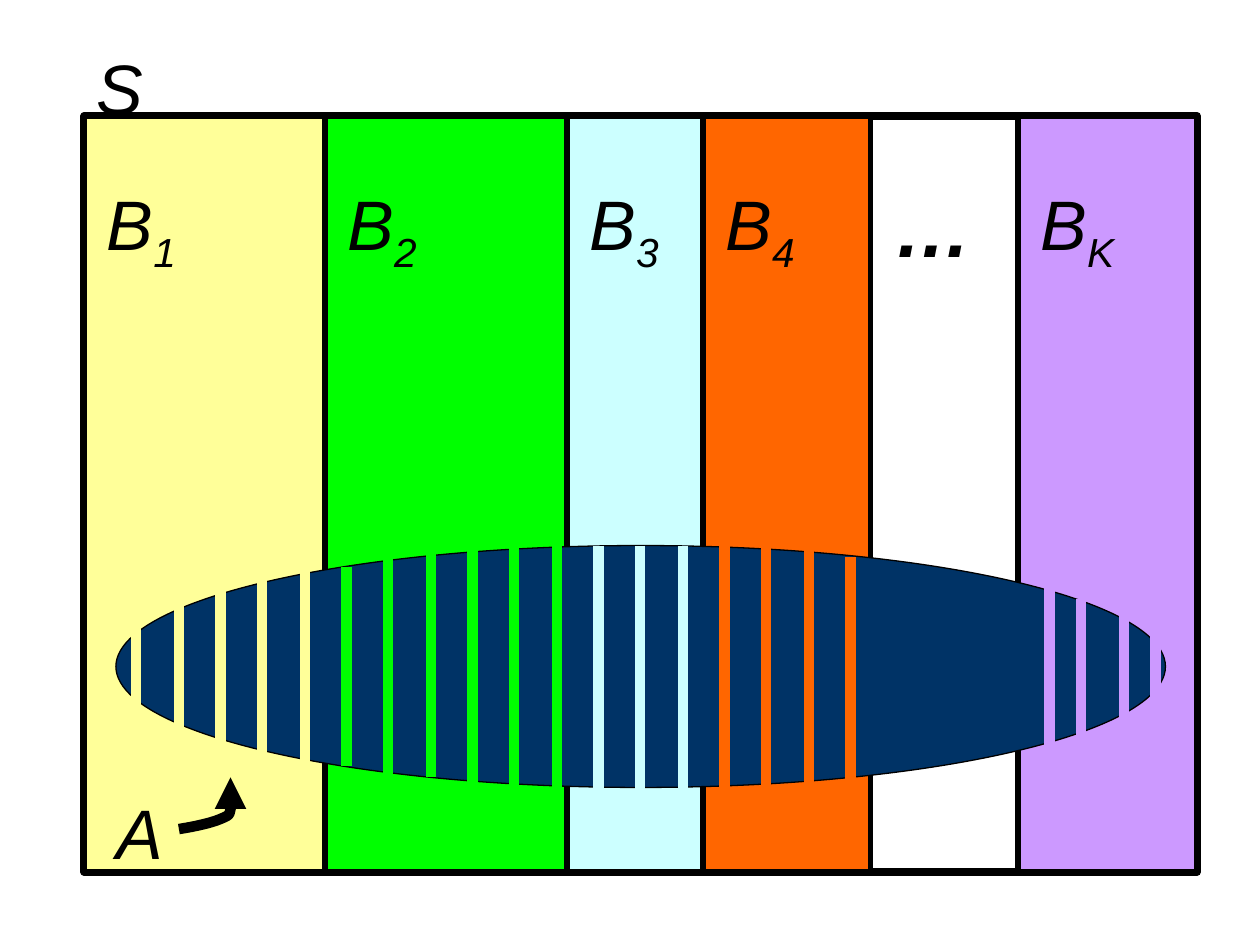
from pptx import Presentation
from pptx.dml.color import RGBColor
from pptx.enum.shapes import MSO_CONNECTOR, MSO_SHAPE
from pptx.enum.text import MSO_AUTO_SIZE
from pptx.oxml.ns import qn
from pptx.util import Inches, Pt
from lxml import etree

RECT, OVAL = MSO_SHAPE.RECTANGLE, MSO_SHAPE.OVAL
STRAIGHT = MSO_CONNECTOR.STRAIGHT
FIT_SHAPE = MSO_AUTO_SIZE.SHAPE_TO_FIT_TEXT

COLORS = {
    "black": "000000", "navy": "003366", "yellow": "FFFF99", "green": "00FF00",
    "cyan": "CCFFFF", "orange": "FF6600", "violet": "CC99FF",
}
FONT = "Arial"

# Sample space: left, top, width, height
SPACE = (0.67, 0.92, 8.83, 6)
EVENT = (0.92, 4.33, 8.33, 1.92)

# Partition: subscript, left, width, colour
BANDS = [
    ("1", 0.67, 1.92, "yellow"),
    ("2", 2.58, 1.92, "green"),
    ("3", 4.5, 1.08, "cyan"),
    ("4", 5.58, 1.33, "orange"),
    ("K", 8.08, 1.42, "violet"),
]

# Stripes over the event: (x, top, bottom) in the colour of their band
STRIPES = {
    "yellow": [(1.08, 4.92, 6.17), (1.42, 4.67, 5.92), (1.75, 4.58, 6.08),
               (2.08, 4.5, 6), (2.42, 4.42, 6.17)],
    "green": [(2.75, 4.5, 6.08), (3.08, 4.25, 6.25), (3.42, 4.17, 6.17),
              (3.75, 4.08, 6.25), (4.08, 4.33, 6.5), (4.42, 4.33, 6.5)],
    "cyan": [(x, 4.33, 6.5) for x in (4.75, 5.08, 5.42)],
    "orange": [(5.75, 4.33, 6.5), (6.08, 4.33, 6.5), (6.42, 4.33, 6.5),
               (6.75, 4.42, 6.58)],
    "violet": [(8.33, 4.67, 6.25), (8.58, 4.75, 6.33), (8.92, 4.83, 6.42),
               (9.17, 5, 6.58)],
}

# Labels: left, top, height, text, subscript, size, bold
LABELS = [
    (0.67, 0.25, 0.77, "S", "", 40, False),
    (0.83, 6.17, 0.77, "A", "", 40, False),
    (7, 1.33, 0.84, "…", "", 44, True),
] + [(left + 0.08, 1.33, 0.86, "B", sub, 40, False) for sub, left, _, _ in BANDS]

# Arrow from A to the event: start, then Bezier segments
ARROW_START = (1.42, 6.58)
ARROW_CURVES = [
    ((1.55, 6.56), (1.68, 6.53), (1.75, 6.5)),
    ((1.82, 6.47), (1.82, 6.47), (1.83, 6.42)),
    ((1.85, 6.36), (1.83, 6.21), (1.83, 6.17)),
]
STEPS = 8


def rgb(name):
    return RGBColor.from_string(COLORS[name])


def set_line(sp, color, width):
    sp.line.color.rgb = rgb(color)
    sp.line.width = Pt(width)


def add_area(kind, box, fill, width):
    sp = slide.shapes.add_shape(kind, *map(Inches, box))
    sp.shadow.inherit = False
    if fill:
        sp.fill.solid()
        sp.fill.fore_color.rgb = rgb(fill)
    else:
        sp.fill.background()
    set_line(sp, "black", width)


def add_stripe(x, top, bottom, color):
    line = slide.shapes.add_connector(
        STRAIGHT, Inches(x), Inches(top), Inches(x), Inches(bottom))
    set_line(line, color, 6)
    etree.SubElement(line._element.spPr, qn("a:effectLst"))


def add_label(left, top, height, text, sub, size, bold):
    tb = slide.shapes.add_textbox(*map(Inches, (left, top, 1.5, height)))
    tf = tb.text_frame
    tf.word_wrap = True
    tf.auto_size = FIT_SHAPE
    tf.margin_top = Inches(0.1)
    tf.margin_bottom = 0
    p = tf.paragraphs[0]
    for part, baseline in ((text, None), (sub, "-25000")):
        if not part:
            continue
        r = p.add_run()
        r.text = part
        r.font.name = FONT
        r.font.size = Pt(size)
        r.font.italic = True
        r.font.bold = bold
        r.font.color.rgb = rgb("black")
        if baseline:
            r.font._element.set("baseline", baseline)


def bezier(p0, p1, p2, p3):
    for i in range(1, STEPS + 1):
        t = i / STEPS
        u = 1 - t
        yield tuple(u**3 * a + 3 * u * u * t * b + 3 * u * t * t * c + t**3 * d
                    for a, b, c, d in zip(p0, p1, p2, p3))


def add_arrow():
    points, start = [], ARROW_START
    for curve in ARROW_CURVES:
        points += bezier(start, *curve)
        start = curve[-1]
    fb = slide.shapes.build_freeform(*map(Inches, ARROW_START))
    fb.add_line_segments([(Inches(x), Inches(y)) for x, y in points], close=False)
    sp = fb.convert_to_shape()
    sp.shadow.inherit = False
    sp.fill.background()
    set_line(sp, "black", 6)
    etree.SubElement(sp.line._get_or_add_ln(), qn("a:tailEnd"), type="triangle")


prs = Presentation()
prs.slide_width, prs.slide_height = Inches(10), Inches(7.5)
slide = prs.slides.add_slide(prs.slide_layouts[6])

# Sample space and its partition
add_area(RECT, SPACE, None, 4.5)
for _, left, width, color in BANDS:
    add_area(RECT, (left, SPACE[1], width, SPACE[3]), color, 3)

# Event with stripes
add_area(OVAL, EVENT, "navy", 0.75)
for color, stripes in STRIPES.items():
    for x, top, bottom in stripes:
        add_stripe(x, top, bottom, color)

# Labels and arrow
for label in LABELS:
    add_label(*label)
add_arrow()

prs.save("out.pptx")
